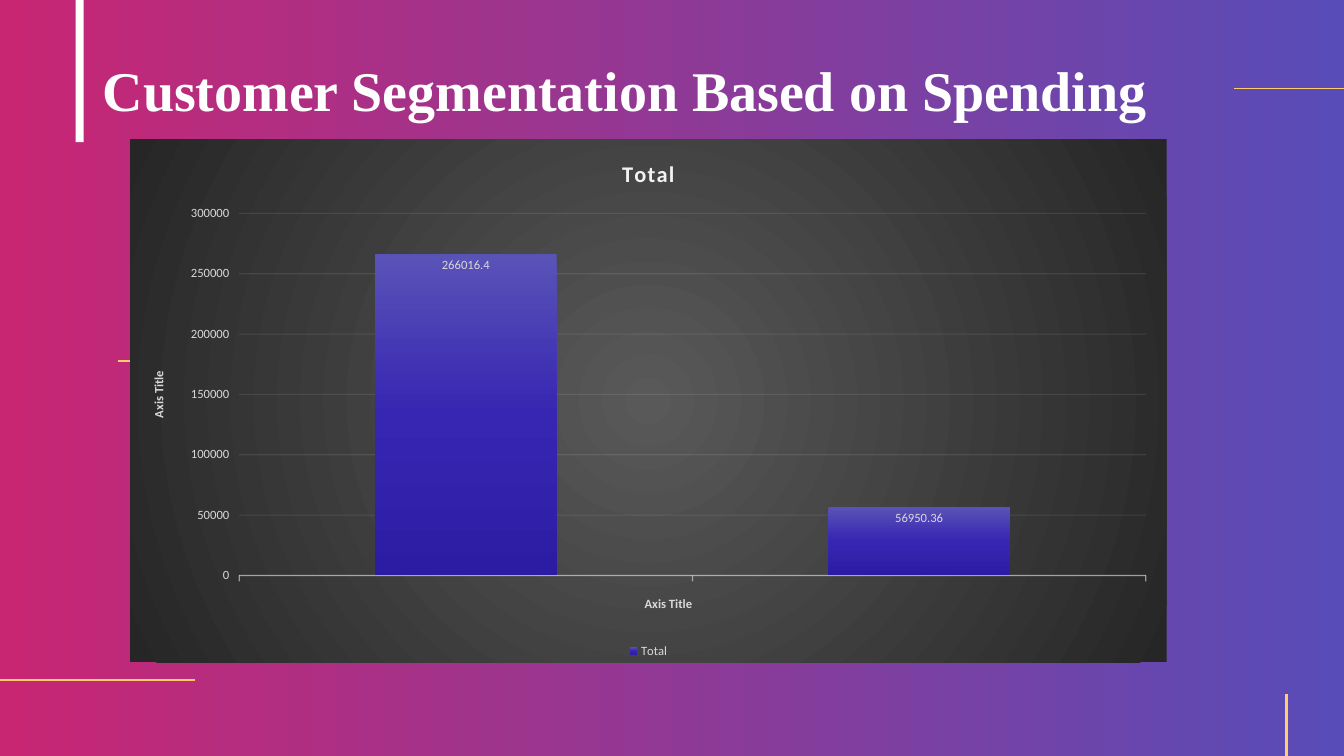
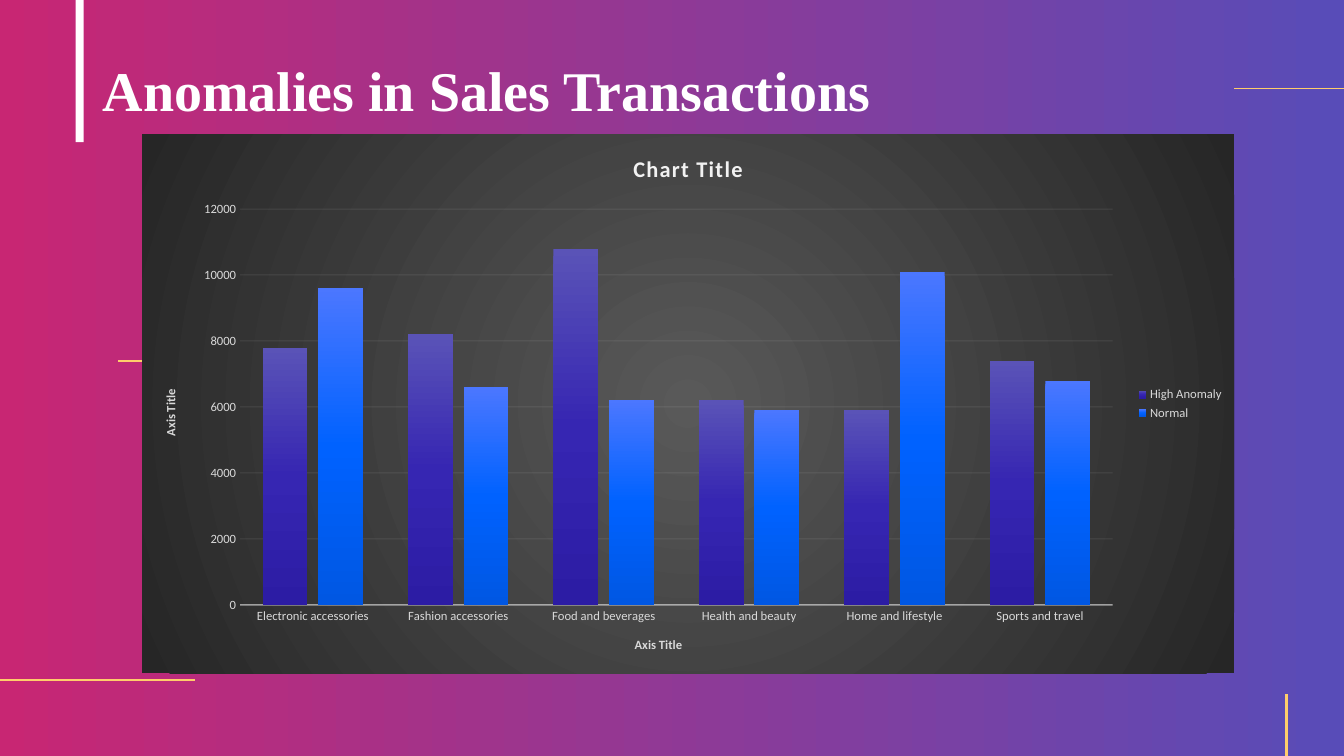
from lxml import etree
from pptx import Presentation
from pptx.chart.data import CategoryChartData
from pptx.dml.color import RGBColor
from pptx.dml.fill import FillFormat
from pptx.enum.chart import (XL_CHART_TYPE, XL_LABEL_POSITION, XL_LEGEND_POSITION,
                             XL_TICK_LABEL_POSITION, XL_TICK_MARK)
from pptx.enum.shapes import MSO_CONNECTOR, MSO_SHAPE
from pptx.enum.text import MSO_ANCHOR
from pptx.oxml import parse_xml
from pptx.oxml.ns import nsdecls, qn
from pptx.util import Inches, Pt

STACK, GROUP = XL_CHART_TYPE.COLUMN_STACKED, XL_CHART_TYPE.COLUMN_CLUSTERED
BOTTOM, RIGHT = XL_LEGEND_POSITION.BOTTOM, XL_LEGEND_POSITION.RIGHT
TICK, NO_TICK = XL_TICK_MARK.OUTSIDE, XL_TICK_MARK.NONE
NO_LABEL = XL_TICK_LABEL_POSITION.NONE
INSIDE = XL_LABEL_POSITION.INSIDE_END
MIDDLE, STRAIGHT, RECT = MSO_ANCHOR.MIDDLE, MSO_CONNECTOR.STRAIGHT, MSO_SHAPE.RECTANGLE

# Shared look
WHITE, GOLD, PALE, SOFT = "FFFFFF", "FFCD6B", "F2F2F2", "D9D9D9"
BACK = ["C82673", "584CB8"]
PANEL = ["595959", "262626"]
BARS = [["5A53B7", "3626B2", "2C1CA4"], ["4B77FF", "0062FF", "0057E3"]]
HEAD, BODY = "Times New Roman", "Calibri"
RULES = [  # x1, y1, x2, y2, points
    (1.17, 3.58, 1.86, 3.58, 1.5),
    (12.24, 0.88, 13.33, 0.88, 0.5),
    (0, 6.75, 1.93, 6.75, 1.5),
    (12.76, 7.5, 12.76, 6.89, 1.5),
]

# Content
SLIDES = [
    dict(head="Customer Segmentation Based on Spending", title="Total",
         box=(1.29, 1.38, 10.28, 5.19), kind=STACK, gap=150, overlap=100,
         legend=BOTTOM, tick=TICK, labels=True, cats=["1", "2"],
         series={"Total": [266016.4, 56950.36]}),
    dict(head="Anomalies in Sales Transactions", title="Chart Title",
         box=(1.41, 1.33, 10.83, 5.35), kind=GROUP, gap=100, overlap=-24,
         legend=RIGHT, tick=NO_TICK, labels=False,
         cats=["Electronic accessories", "Fashion accessories", "Food and beverages",
               "Health and beauty", "Home and lifestyle", "Sports and travel"],
         series={"High Anomaly": [7800, 8200, 10800, 6200, 5900, 7400],
                 "Normal": [9600, 6600, 6200, 5900, 10100, 6800]}),
]


def rgb(color):
    return RGBColor.from_string(color)


def style(font, size=9, color=SOFT, bold=False, face=BODY):
    font.size, font.bold, font.name = Pt(size), bold, face
    font.color.rgb = rgb(color)


def write(frame, text, spread=0, turn=None, leading=None, **look):
    """Put one formatted line of text into a text frame."""
    para = frame.paragraphs[0]
    run = para.add_run()
    run.text = text
    style(run.font, **look)
    if leading:
        para.line_spacing = leading
    if spread:
        run.font._element.set("spc", str(spread))
    if turn is not None:
        body = frame._txBody.find(qn("a:bodyPr"))
        body.set("rot", str(turn * 60000))
        body.set("vert", "horz")


def blend(fill, colors, angle=0, radial=False):
    """Fill with evenly spaced colours, along a line or from the centre."""
    fill.gradient()
    grad = fill._xPr.find(qn("a:gradFill"))
    for part in list(grad):
        grad.remove(part)
    stops = etree.SubElement(grad, qn("a:gsLst"))
    for i, color in enumerate(colors):
        place = str(100000 * i // (len(colors) - 1))
        stop = etree.SubElement(stops, qn("a:gs"), pos=place)
        etree.SubElement(stop, qn("a:srgbClr"), val=color)
    if radial:
        route = etree.SubElement(grad, qn("a:path"))
        route.set("path", "circle")
        etree.SubElement(route, qn("a:fillToRect"),
                         {side: "50000" for side in "ltrb"})
    else:
        etree.SubElement(grad, qn("a:lin"), ang=str(angle * 60000), scaled="0")


def stroke(line, color, width, alpha=100):
    line.color.rgb = rgb(color)
    line.width = Pt(width)
    if alpha < 100:
        tint = line.fill._xPr.find(".//" + qn("a:srgbClr"))
        etree.SubElement(tint, qn("a:alpha"), val=str(alpha * 1000))


def frame_slide(slide):
    """Background, white bar and gold rules."""
    blend(slide.background.fill, BACK)
    bar = slide.shapes.add_shape(RECT, Inches(0.75), 0, Inches(0.08), Inches(1.41))
    bar.shadow.inherit = False
    bar.fill.solid()
    bar.fill.fore_color.rgb = rgb(WHITE)
    bar.line.fill.background()
    for *ends, width in RULES:
        rule = slide.shapes.add_connector(STRAIGHT, *map(Inches, ends))
        stroke(rule.line, GOLD, width)
        etree.SubElement(rule._element.spPr, qn("a:effectLst"))


def add_chart(slide, item):
    data = CategoryChartData()
    data.categories = item["cats"]
    for name, vals in item["series"].items():
        data.add_series(name, vals)
    chart = slide.shapes.add_chart(item["kind"], *map(Inches, item["box"]), data).chart
    style(chart.font)

    # Dark panel
    panel = parse_xml(f'<c:spPr {nsdecls("c", "a")}><a:ln><a:noFill/></a:ln></c:spPr>')
    chart._chartSpace.find(qn("c:chart")).addnext(panel)
    blend(FillFormat.from_fill_parent(panel), PANEL, radial=True)

    # Title and legend
    chart.has_title = True
    write(chart.chart_title.text_frame, item["title"], spread=100,
          size=16, color=PALE, bold=True)
    chart.chart_title.include_in_layout = False
    chart.has_legend = True
    chart.legend.position = item["legend"]
    chart.legend.include_in_layout = False
    style(chart.legend.font)

    # Axes
    for axis, turn in ((chart.category_axis, 0), (chart.value_axis, -90)):
        write(axis.axis_title.text_frame, "Axis Title", turn=turn, bold=True)
        axis.major_tick_mark, axis.minor_tick_mark = item["tick"], NO_TICK
        style(axis.tick_labels.font)
    stroke(chart.category_axis.format.line, PALE, 1, 54)
    chart.value_axis.format.line.fill.background()
    stroke(chart.value_axis.major_gridlines.format.line, PALE, 0.75, 10)
    if item["labels"]:
        chart.category_axis.tick_label_position = NO_LABEL

    # Columns
    plot = chart.plots[0]
    plot.vary_by_categories = False
    plot.gap_width, plot.overlap = item["gap"], item["overlap"]
    for series, colors in zip(plot.series, BARS):
        blend(series.format.fill, colors, angle=90)
        if item["labels"]:
            tags = series.data_labels
            tags.show_value = True
            tags.position = INSIDE
            style(tags.font)


def add_head(slide, text):
    box = slide.shapes.add_textbox(Inches(0.92), Inches(0.2), Inches(11.5), Inches(1.45))
    frame = box.text_frame
    frame.word_wrap = True
    frame.vertical_anchor = MIDDLE
    write(frame, text, leading=0.9, size=40, color=WHITE, bold=True, face=HEAD)


def main():
    deck = Presentation()
    deck.slide_width, deck.slide_height = Inches(13.33), Inches(7.5)
    for item in SLIDES:
        slide = deck.slides.add_slide(deck.slide_layouts[6])
        frame_slide(slide)
        add_chart(slide, item)
        add_head(slide, item["head"])
    deck.save("out.pptx")


if __name__ == "__main__":
    main()
